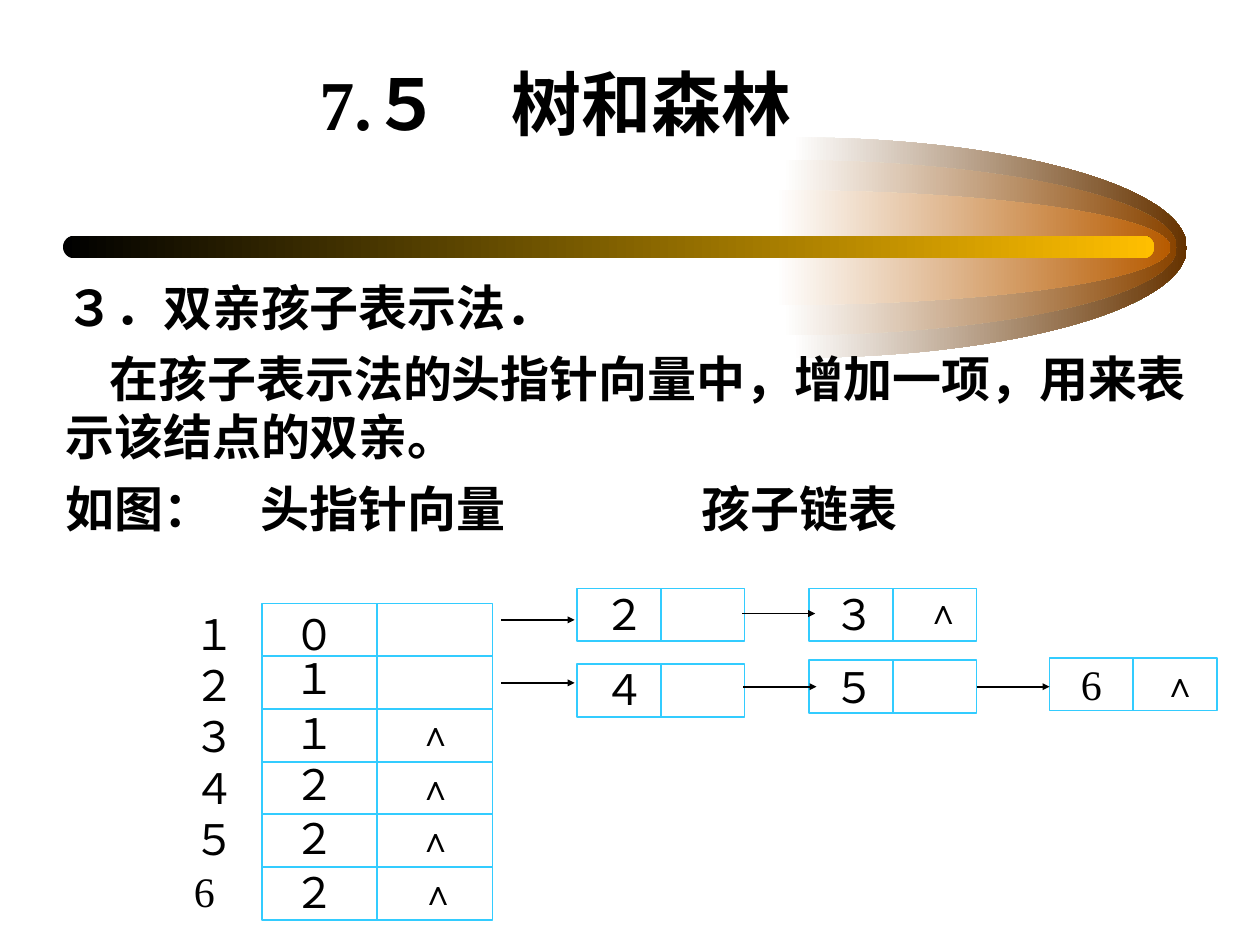
from dataclasses import dataclass
from typing import Optional

import pptx
import pptx.dml.color
import pptx.enum.shapes
import pptx.enum.text
import pptx.oxml
import pptx.oxml.ns
import pptx.util
from pptx.util import Inches

SHAPE = pptx.enum.shapes.MSO_SHAPE


@dataclass(frozen=True)
class Theme:
    ink: str = "000000"
    cell_line: str = "33CCFF"
    glow_start: str = "FFFFFF"
    bar_end: str = "FFBF00"
    latin: str = "Times New Roman"
    cjk: str = "Noto Sans CJK SC"
    title: int = 40
    body: int = 28
    digit: int = 24
    caret: int = 20
    line: int = 1


@dataclass(frozen=True)
class Glow:
    left: float
    top: float
    height: float
    color: str


@dataclass(frozen=True)
class HeadRow:
    parent: str
    parent_top: float
    caret_at: Optional[tuple[float, float]] = None


@dataclass(frozen=True)
class Node:
    child: str
    left: float
    top: float
    child_at: tuple[float, float]
    caret_at: Optional[tuple[float, float]] = None


THEME = Theme()
GLOW_RADIUS = 3.13
BEZIER_CIRCLE = 0.55
HEAD_LEFT, HEAD_TOP, HEAD_WIDTH, ROW_HEIGHT = 2.08, 4.79, 1.83, 2.51 / 6
NODE_WIDTH, NODE_HEIGHT = 1.33, 0.42

GLOWS = [
    Glow(6.29, 1.09, 1.75, "663300"),
    Glow(6.21, 1.27, 1.39, "894400"),
    Glow(6.16, 1.51, 0.91, "B75B00"),
]
HEAD_ROWS = [
    HeadRow("０", 4.78),
    HeadRow("１", 5.13),
    HeadRow("１", 5.57, (3.22, 5.6)),
    HeadRow("２", 5.97, (3.22, 6.03)),
    HeadRow("２", 6.4, (3.22, 6.44)),
    HeadRow("２", 6.83, (3.24, 6.86)),
]
NODES = [
    Node("２", 4.58, 4.67, (4.69, 4.62)),
    Node("３", 6.42, 4.67, (6.52, 4.62), (7.25, 4.63)),
    Node("４", 4.58, 5.27, (4.69, 5.22)),
    Node("５", 6.42, 5.24, (6.52, 5.2)),
    Node("6", 8.33, 5.22, (8.48, 5.18), (9.13, 5.21)),
]
# Left end and height of each arrow; the last one leaves node ５
ARROWS = [(3.98, 4.92), (3.98, 5.42), (5.89, 4.87), (5.9, 5.45), (7.75, 5.45)]
ARROW_LENGTH = 0.58


def rgb(color: str) -> pptx.dml.color.RGBColor:
    return pptx.dml.color.RGBColor.from_string(color)


def add_xml(parent, tag: str, **attributes: str):
    element = pptx.oxml.parse_xml(f"<{tag} {pptx.oxml.ns.nsdecls('a')}/>")
    for key, value in attributes.items():
        element.set(key, value)
    parent.append(element)
    return element


def write(frame, *lines: str, size: int, latin: str = THEME.latin, bold: bool = False,
          spacing: Optional[float] = None, before: float = 0) -> None:
    """Fill a text frame with one paragraph per line."""
    for index, line in enumerate(lines):
        paragraph = frame.paragraphs[0] if index == 0 else frame.add_paragraph()
        paragraph.alignment = pptx.enum.text.PP_ALIGN.LEFT
        paragraph.line_spacing = spacing
        paragraph.space_before = pptx.util.Pt(before if index else 0)
        run = paragraph.add_run()
        run.text = line
        run.font.name = latin
        run.font.size = pptx.util.Pt(size)
        run.font.bold = bold
        run.font.color.rgb = rgb(THEME.ink)
        add_xml(run.font._element, "a:ea", typeface=THEME.cjk)


def add_text(slide, left: float, top: float, width: float, height: float, *lines: str, **style):
    box = slide.shapes.add_textbox(Inches(left), Inches(top), Inches(width), Inches(height))
    box.text_frame.word_wrap = True
    write(box.text_frame, *lines, **style)
    return box.text_frame


def fill_gradient(shape, start: str, end: str) -> None:
    shape.shadow.inherit = False
    shape.line.fill.background()
    shape.fill.gradient()
    shape.fill.gradient_angle = 0
    for stop, color, position in zip(shape.fill.gradient_stops, (start, end), (0, 1)):
        stop.color.rgb = rgb(color)
        stop.position = position


def draw_glow(slide, glow: Glow) -> None:
    """Draw the right half of an ellipse as two quarter curves."""
    half = glow.height / 2
    bend = BEZIER_CIRCLE
    # Control and end points in units of the two radii, from the top round to the centre
    outline = [(0, -1), (bend, -1), (1, -bend), (1, 0), (1, bend), (bend, 1), (0, 1), (0, 0)]
    points = [(Inches(glow.left + GLOW_RADIUS * x), Inches(glow.top + half * (1 + y)))
              for x, y in outline]
    builder = slide.shapes.build_freeform(*points[0])
    builder.add_line_segments(points[1:], close=True)
    half_ellipse = builder.convert_to_shape()
    segments = half_ellipse._element.findall(".//" + pptx.oxml.ns.qn("a:lnTo"))
    for first in (0, 3):
        curve = add_xml(segments[first].getparent(), "a:cubicBezTo")
        segments[first].addprevious(curve)
        for segment in segments[first:first + 3]:
            curve.append(segment[0])
            segment.getparent().remove(segment)
    fill_gradient(half_ellipse, THEME.glow_start, glow.color)


def draw_cell(slide, left: float, top: float, width: float, height: float):
    cell = slide.shapes.add_shape(
        SHAPE.RECTANGLE, Inches(left), Inches(top), Inches(width), Inches(height))
    cell.shadow.inherit = False
    cell.fill.background()
    cell.line.color.rgb = rgb(THEME.cell_line)
    cell.line.width = pptx.util.Pt(THEME.line)
    return cell


def draw_line(slide, color: str, left: float = 0, top: float = 0, length: float = 0,
              arrow: bool = False):
    line = slide.shapes.add_connector(
        pptx.enum.shapes.MSO_CONNECTOR.STRAIGHT,
        Inches(left), Inches(top), Inches(left + length), Inches(top))
    line.line.color.rgb = rgb(color)
    line.line.width = pptx.util.Pt(THEME.line)
    if arrow:
        add_xml(line.line._get_or_add_ln(), "a:tailEnd", type="triangle", w="sm", len="sm")
    add_xml(line._element.spPr, "a:effectLst")
    return line


def draw_divider(slide, first_cell, last_cell) -> None:
    divider = draw_line(slide, THEME.cell_line)
    divider.begin_connect(first_cell, 0)
    divider.end_connect(last_cell, 2)


def draw_caret(slide, caret_at: Optional[tuple[float, float]]) -> None:
    if caret_at:
        add_text(slide, *caret_at, 0.5, 0.44, "∧", size=THEME.caret)


def draw_node(slide, node: Node):
    cell = draw_cell(slide, node.left, node.top, NODE_WIDTH, NODE_HEIGHT)
    draw_divider(slide, cell, cell)
    add_text(slide, *node.child_at, 0.58, 0.5, node.child, size=THEME.digit)
    draw_caret(slide, node.caret_at)
    return cell


def main() -> None:
    deck = pptx.Presentation()
    deck.slide_width, deck.slide_height = Inches(10), Inches(7.5)
    slide = deck.slides.add_slide(deck.slide_layouts[5])

    # Backdrop: glow and bar
    for glow in GLOWS:
        draw_glow(slide, glow)
    bar = slide.shapes.add_shape(
        SHAPE.ROUNDED_RECTANGLE, Inches(0.5), Inches(1.87), Inches(8.66), Inches(0.18))
    bar.adjustments[0] = 0.5
    fill_gradient(bar, THEME.ink, THEME.bar_end)

    # Title, brought in front of the glow
    title = slide.shapes.title
    title.element.getparent().append(title.element)
    title.left, title.top, title.width, title.height = map(Inches, (1.88, 0.45, 6.4, 0.75))
    title.text_frame.vertical_anchor = pptx.enum.text.MSO_ANCHOR.BOTTOM
    title.text_frame.auto_size = pptx.enum.text.MSO_AUTO_SIZE.NONE
    write(title.text_frame, "　7.５　树和森林", size=THEME.title, bold=True)

    # Explanation
    body = add_text(
        slide, 0.42, 2.15, 9.42, 2.26,
        "３．双亲孩子表示法．",
        "在孩子表示法的头指针向量中，增加一项，用来表示该结点的双亲。",
        "如图：\t头指针向量\t孩子链表",
        size=THEME.body, latin=THEME.cjk, bold=True, before=7)
    body.paragraphs[1]._p.get_or_add_pPr().set("indent", str(Inches(0.35)))
    tabs = add_xml(body.paragraphs[2]._p.get_or_add_pPr(), "a:tabLst")
    for stop in (1.55, 5.05):
        add_xml(tabs, "a:tab", pos=str(Inches(stop)), algn="l")

    # Head vector: row numbers, parents and empty links
    add_text(slide, 1.44, 4.95, 0.56, 2.34, "１", "２", "３", "４", "５", "6",
             size=THEME.digit, spacing=0.5, before=15)
    head_cells = []
    for index, row in enumerate(HEAD_ROWS):
        head_cells.append(draw_cell(
            slide, HEAD_LEFT, HEAD_TOP + index * ROW_HEIGHT, HEAD_WIDTH, ROW_HEIGHT))
        add_text(slide, 2.23, row.parent_top, 0.67, 0.5, row.parent, size=THEME.digit)
        draw_caret(slide, row.caret_at)
    draw_divider(slide, head_cells[0], head_cells[-1])

    # Child lists and their links
    cells = {node.child: draw_node(slide, node) for node in NODES}
    links = [draw_line(slide, THEME.ink, left, top, ARROW_LENGTH, arrow=True)
             for left, top in ARROWS]
    links[-1].begin_connect(cells["５"], 3)

    deck.save("out.pptx")


if __name__ == "__main__":
    main()
